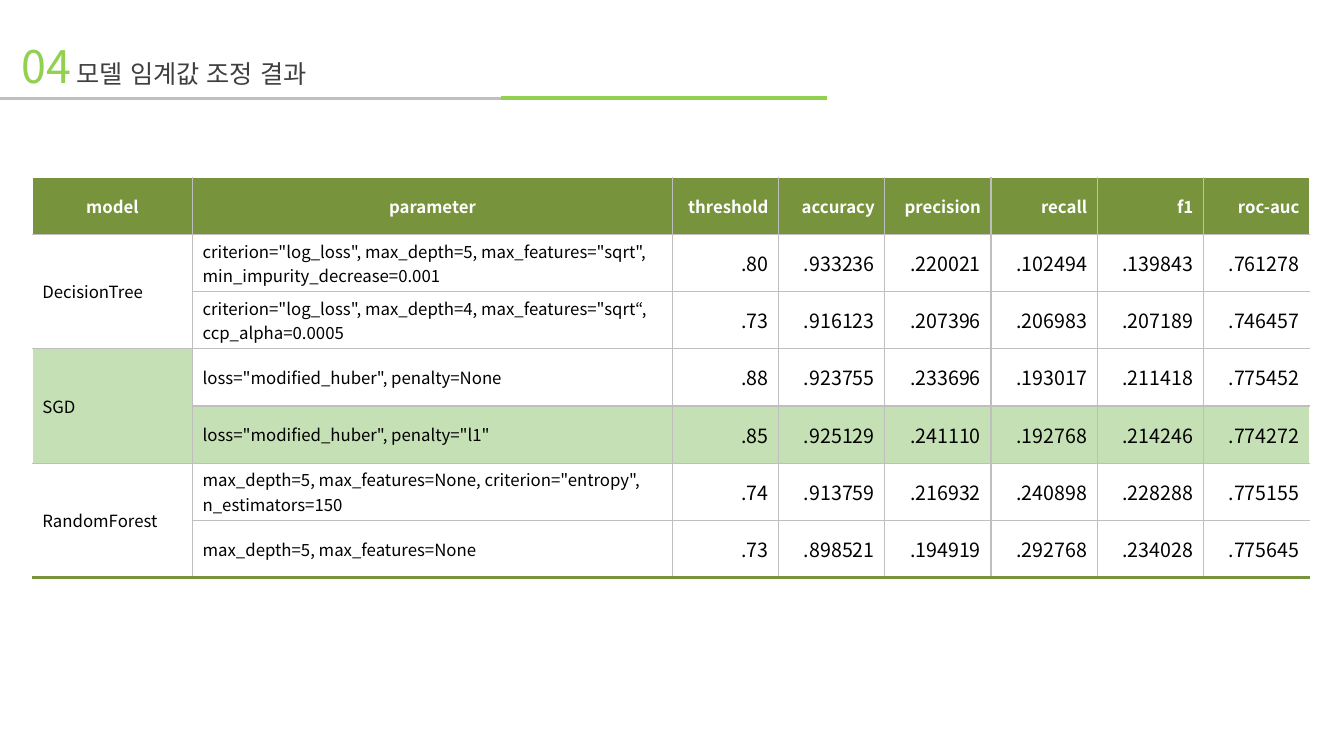
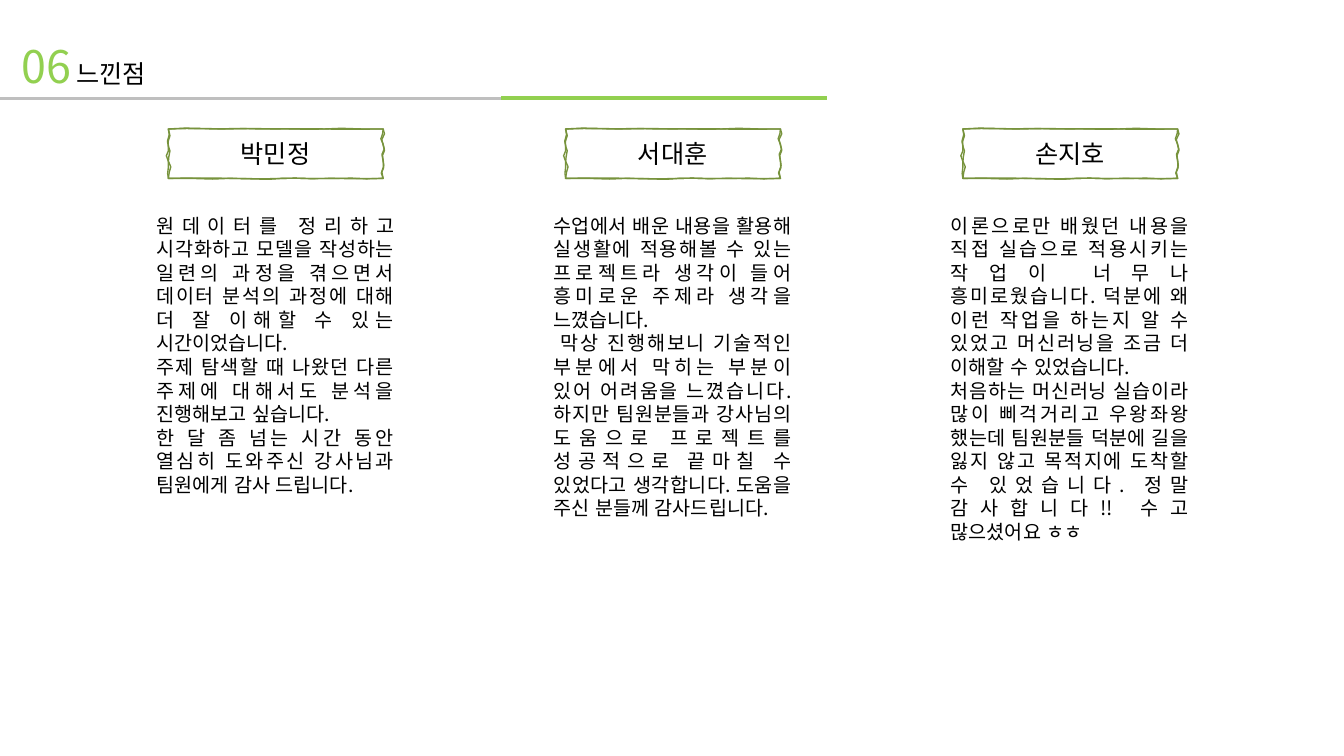
"""Build the threshold tuning and reflections slides of a model report."""
from dataclasses import dataclass
from typing import NamedTuple

from lxml.etree import SubElement
from pptx import Presentation
from pptx.dml.color import RGBColor
from pptx.enum.lang import MSO_LANGUAGE_ID
from pptx.enum.shapes import MSO_CONNECTOR
from pptx.enum.text import MSO_ANCHOR, MSO_AUTO_SIZE, PP_ALIGN
from pptx.oxml.ns import qn
from pptx.slide import Slide
from pptx.table import _Cell
from pptx.text.text import _Paragraph
from pptx.util import Inches, Pt


@dataclass(frozen=True)
class Theme:
    """Colours, type sizes and font of the deck."""
    font: str = "Noto Sans CJK KR"
    lime: str = "92D050"
    olive: str = "77933C"
    mint: str = "C5E0B4"
    grid: str = "BFBFBF"
    spacer: str = "7B7B7B"
    charcoal: str = "3F3F3F"
    black: str = "000000"
    white: str = "FFFFFF"
    number_size: int = 32
    heading_size: int = 18
    body_size: int = 14
    label_size: int = 12


class Rule(NamedTuple):
    """A horizontal line under the title."""
    start: float
    end: float
    color: str
    weight: float


class Result(NamedTuple):
    """The scores of one parameter set."""
    parameter: str
    scores: str
    best: bool = False


class Reflection(NamedTuple):
    """One member's closing words."""
    member: str
    paragraphs: tuple[str, ...]


class Curve(NamedTuple):
    """A cubic curve in hundredths of an inch from the frame's corner."""
    x1: int
    y1: int
    x2: int
    y2: int
    x: int
    y: int


THEME = Theme()
NO_BREAK = chr(160)
WIDTH, HEIGHT = 13.33, 7.5
RULE_TOP = HEIGHT * 0.13
RULES = (Rule(0, 7.41, THEME.grid, 2.5), Rule(4.97, 8.2, THEME.lime, 3))

TABLE_LEFT, TABLE_TOP, TABLE_WIDTH, TABLE_HEIGHT = 0.32, 1.76, 12.67, 3.97
MODEL_WIDTH, PARAMETER_WIDTH = 1.59, 4.76
CELL_MARGIN = 0.03
HEADERS = ("model", "parameter", "threshold", "accuracy", "precision", "recall", "f1", "roc-auc")
MODELS = {
    "DecisionTree": (
        Result('criterion="log_loss", max_depth=5, max_features="sqrt", min_impurity_decrease=0.001',
               ".80 .933236 .220021 .102494 .139843 .761278"),
        Result('criterion="log_loss", max_depth=4, max_features="sqrt“, ccp_alpha=0.0005',
               ".73 .916123 .207396 .206983 .207189 .746457"),
    ),
    "SGD": (
        Result('loss="modified_huber", penalty=None',
               ".88 .923755 .233696 .193017 .211418 .775452"),
        Result('loss="modified_huber", penalty="l1"',
               ".85 .925129 .241110 .192768 .214246 .774272", best=True),
    ),
    "RandomForest": (
        Result(f'max_depth=5, max_features=None, criterion="entropy",{NO_BREAK} n_estimators=150',
               ".74 .913759 .216932 .240898 .228288 .775155"),
        Result("max_depth=5, max_features=None",
               ".73 .898521 .194919 .292768 .234028 .775645"),
    ),
}

MIDDLE_COLUMN, COLUMN_PITCH = 6.67, 3.94
FRAME_WIDTH, FRAME_TOP = 2.12, 1.28
WORDS_WIDTH, WORDS_TOP, WORDS_HEIGHT = 2.56, 2.07, 4.09
CURVE_STEPS = 3
FRAME_OUTLINES = (
    (Curve(17, -2, 33, 0, 57, 0), Curve(81, -1, 96, 0, 113, 0), Curve(129, -1, 174, 1, 213, 0),
     Curve(215, 4, 207, 10, 213, 15), Curve(218, 20, 208, 24, 213, 32),
     Curve(217, 40, 207, 43, 213, 49), Curve(189, 50, 187, 48, 164, 49),
     Curve(140, 50, 124, 48, 113, 49), Curve(102, 51, 80, 49, 66, 49),
     Curve(52, 49, 30, 48, 0, 49), Curve(-1, 42, 6, 38, 0, 32),
     Curve(-6, 26, 3, 22, 0, 17), Curve(-3, 13, 5, 7, 0, 0)),
    (Curve(17, -1, 39, 0, 51, 0), Curve(63, -1, 82, 0, 98, 0), Curve(113, -1, 142, 1, 155, 0),
     Curve(169, -2, 192, 1, 213, 0), Curve(219, 4, 207, 11, 213, 16),
     Curve(218, 21, 209, 27, 213, 31), Curve(217, 35, 208, 43, 213, 49),
     Curve(197, 50, 182, 49, 160, 49), Curve(137, 50, 126, 48, 113, 49),
     Curve(100, 50, 71, 49, 60, 49), Curve(48, 51, 21, 48, 0, 49),
     Curve(-2, 45, 1, 37, 0, 33), Curve(-1, 29, 4, 20, 0, 17), Curve(-4, 14, 4, 4, 0, 0)),
)
REFLECTIONS = (
    Reflection("박민정", (
        "원데이터를 정리하고 시각화하고 모델을 작성하는 일련의 과정을 겪으면서 데이터 분석의 "
        "과정에 대해 더 잘 이해할 수 있는 시간이었습니다.",
        "주제 탐색할 때 나왔던 다른 주제에 대해서도 분석을 진행해보고 싶습니다.",
        "한 달 좀 넘는 시간 동안 열심히 도와주신 강사님과 팀원에게 감사 드립니다.",
    )),
    Reflection("서대훈", (
        "수업에서 배운 내용을 활용해 실생활에 적용해볼 수 있는 프로젝트라 생각이 들어 "
        "흥미로운 주제라 생각을 느꼈습니다.",
        f"{NO_BREAK}막상 진행해보니 기술적인 부분에서 막히는 부분이 있어{NO_BREAK}어려움을 "
        f"느꼈습니다. 하지만{NO_BREAK}팀원분들과 강사님의 도움으로 프로젝트를 성공적으로 끝마칠 수 "
        "있었다고 생각합니다. 도움을 주신 분들께 감사드립니다.",
    )),
    Reflection("손지호", (
        "이론으로만 배웠던 내용을 직접 실습으로 적용시키는 작업이 너무나 흥미로웠습니다. "
        "덕분에 왜 이런 작업을 하는지 알 수 있었고 머신러닝을 조금 더 이해할 수 있었습니다.",
        "처음하는 머신러닝 실습이라 많이 삐걱거리고 우왕좌왕 했는데 팀원분들 덕분에 길을 "
        "잃지 않고 목적지에 도착할 수 있었습니다. 정말 감사합니다!! 수고 많으셨어요 ㅎㅎ",
    )),
)


def rgb(color: str) -> RGBColor:
    """Turn a hex string into a colour."""
    return RGBColor.from_string(color)


def style(paragraph: _Paragraph, size: int, color: str, align: PP_ALIGN, bold: bool = False) -> None:
    """Set the alignment and font of a paragraph."""
    paragraph.alignment = align
    font = paragraph.font
    font.size, font.bold, font.name = Pt(size), bold, THEME.font
    font.color.rgb = rgb(color)
    font.language_id = MSO_LANGUAGE_ID.KOREAN
    properties = paragraph._p.pPr.find(qn("a:defRPr"))
    SubElement(properties, qn("a:ea")).set("typeface", THEME.font)


def place(shape, left: float, top: float, width: float, height: float) -> None:
    """Move and size a placeholder, in inches."""
    shape.left, shape.top = Inches(left), Inches(top)
    shape.width, shape.height = Inches(width), Inches(height)
    shape.text_frame.auto_size = MSO_AUTO_SIZE.NONE
    shape.text_frame.vertical_anchor = MSO_ANCHOR.TOP


def draw_header(slide: Slide, number: str, heading: str, color: str) -> None:
    """Fill the title and draw the two rules under it."""
    title = slide.shapes.title
    place(title, 0.11, 0.33, 9.73, 0.64)
    paragraph = title.text_frame.paragraphs[0]
    style(paragraph, THEME.heading_size, color, PP_ALIGN.LEFT)
    for text, size, tint in ((number, THEME.number_size, THEME.lime),
                             (" ", THEME.heading_size, THEME.spacer),
                             (heading, THEME.heading_size, color)):
        run = paragraph.add_run()
        run.text = text
        run.font.size = Pt(size)
        run.font.color.rgb = rgb(tint)
    for rule in RULES:
        line = slide.shapes.add_connector(MSO_CONNECTOR.STRAIGHT, Inches(rule.start),
                                          Inches(RULE_TOP), Inches(rule.end), Inches(RULE_TOP))
        line.line.color.rgb = rgb(rule.color)
        line.line.width = Pt(rule.weight)
        SubElement(line._element.spPr, qn("a:effectLst"))


def add_border(cell: _Cell, side: str, color: str, weight: float) -> None:
    """Draw one border of a cell."""
    border = SubElement(cell._tc.get_or_add_tcPr(), qn(f"a:ln{side}"), w=str(Pt(weight)))
    SubElement(SubElement(border, qn("a:solidFill")), qn("a:srgbClr")).set("val", color)


def draw_results(slide: Slide) -> None:
    """Draw the table of scores by model and parameter set."""
    rows = [HEADERS]
    highlighted, spans = set(), []
    for model, results in MODELS.items():
        spans.append((len(rows), len(rows) + len(results) - 1))
        for result in results:
            if result.best:
                highlighted |= {(len(rows), column) for column in range(1, len(HEADERS))}
                highlighted |= {(row, 0) for row in range(spans[-1][0], spans[-1][1] + 1)}
            label = model if result is results[0] else ""
            rows.append((label, result.parameter, *result.scores.split()))
    last_row, last_column = len(rows) - 1, len(HEADERS) - 1
    table = slide.shapes.add_table(len(rows), len(HEADERS), Inches(TABLE_LEFT), Inches(TABLE_TOP),
                                   Inches(TABLE_WIDTH), Inches(TABLE_HEIGHT)).table
    table.first_row = table.horz_banding = False
    score_width = (TABLE_WIDTH - MODEL_WIDTH - PARAMETER_WIDTH) / (len(HEADERS) - 2)
    widths = (MODEL_WIDTH, PARAMETER_WIDTH) + (score_width,) * (len(HEADERS) - 2)
    for column, width in zip(table.columns, widths):
        column.width = Inches(width)
    for row_index, row in enumerate(rows):
        table.rows[row_index].height = Inches(TABLE_HEIGHT / len(rows))
        for column, text in enumerate(row):
            cell = table.cell(row_index, column)
            header, score = row_index == 0, column > 1
            cell.vertical_anchor = MSO_ANCHOR.MIDDLE
            cell.margin_top = cell.margin_bottom = Inches(CELL_MARGIN)
            if column > 0:
                add_border(cell, "L", THEME.grid, 1)
            if column < last_column:
                add_border(cell, "R", THEME.grid, 1)
            if not header:
                add_border(cell, "T", THEME.grid, 1)
            if row_index == last_row or (column == 0 and (row_index, last_row) in spans):
                add_border(cell, "B", THEME.olive, 3)
            else:
                add_border(cell, "B", THEME.grid, 1)
            if header or (row_index, column) in highlighted:
                cell.fill.solid()
                cell.fill.fore_color.rgb = rgb(THEME.olive if header else THEME.mint)
            else:
                cell.fill.background()
            if not text:
                continue
            align = PP_ALIGN.RIGHT if score else PP_ALIGN.CENTER if header else PP_ALIGN.LEFT
            size = THEME.body_size if score and not header else THEME.label_size
            paragraph = cell.text_frame.paragraphs[0]
            paragraph.text = text
            style(paragraph, size, THEME.white if header else THEME.black, align, header)
    for top, bottom in spans:
        table.cell(top, 0).merge(table.cell(bottom, 0))


def trace(outline: tuple[Curve, ...], left: float) -> list[tuple[int, int]]:
    """Sample an outline's curves as points on the slide."""
    points = []
    start_x, start_y = 0, 0
    for curve in outline:
        for step in range(1, CURVE_STEPS + 1):
            t = step / CURVE_STEPS
            a, b, c, d = (1 - t) ** 3, 3 * t * (1 - t) ** 2, 3 * t * t * (1 - t), t ** 3
            x = a * start_x + b * curve.x1 + c * curve.x2 + d * curve.x
            y = a * start_y + b * curve.y1 + c * curve.y2 + d * curve.y
            points.append((Inches(left + x / 100), Inches(FRAME_TOP + y / 100)))
        start_x, start_y = curve.x, curve.y
    return points


def draw_name_frame(slide: Slide, member: str, left: float) -> None:
    """Draw a hand-drawn frame around a member's name."""
    corner = Inches(left), Inches(FRAME_TOP)
    first, *others = FRAME_OUTLINES
    builder = slide.shapes.build_freeform(*corner)
    builder.add_line_segments(trace(first, left), close=True)
    for outline in others:
        builder.move_to(*corner)
        builder.add_line_segments(trace(outline, left), close=True)
    frame = builder.convert_to_shape()
    frame.shadow.inherit = False
    frame.fill.background()
    frame.line.color.rgb = rgb(THEME.olive)
    frame.line.width = Pt(1)
    frame.text_frame.vertical_anchor = MSO_ANCHOR.MIDDLE
    paragraph = frame.text_frame.paragraphs[0]
    paragraph.text = member
    style(paragraph, THEME.heading_size, THEME.black, PP_ALIGN.CENTER)


def draw_reflections(slide: Slide) -> None:
    """Set each member's words in a column under the name."""
    bodies = [holder for holder in slide.placeholders if holder.placeholder_format.idx > 0]
    for spare in bodies[len(REFLECTIONS):]:
        spare._element.getparent().remove(spare._element)
    for index, (reflection, words) in enumerate(zip(REFLECTIONS, bodies)):
        center = MIDDLE_COLUMN + (index - 1) * COLUMN_PITCH
        draw_name_frame(slide, reflection.member, center - FRAME_WIDTH / 2)
        place(words, center - WORDS_WIDTH / 2, WORDS_TOP, WORDS_WIDTH, WORDS_HEIGHT)
        words.text_frame.text = "\n".join(reflection.paragraphs)
        for paragraph in words.text_frame.paragraphs:
            paragraph.space_before = Pt(0)
            properties = paragraph._p.get_or_add_pPr()
            properties.set("marL", "0")
            properties.set("indent", "0")
            SubElement(properties, qn("a:buNone"))
            style(paragraph, THEME.body_size, THEME.black, PP_ALIGN.JUSTIFY)


def main() -> None:
    """Build and save the deck."""
    deck = Presentation()
    deck.slide_width, deck.slide_height = Inches(WIDTH), Inches(HEIGHT)
    results = deck.slides.add_slide(deck.slide_layouts.get_by_name("Title Only"))
    draw_header(results, "04", "모델 임계값 조정 결과", THEME.charcoal)
    draw_results(results)
    reflections = deck.slides.add_slide(deck.slide_layouts.get_by_name("Comparison"))
    draw_header(reflections, "06", "느낀점", THEME.black)
    draw_reflections(reflections)
    deck.save("out.pptx")


if __name__ == "__main__":
    main()
